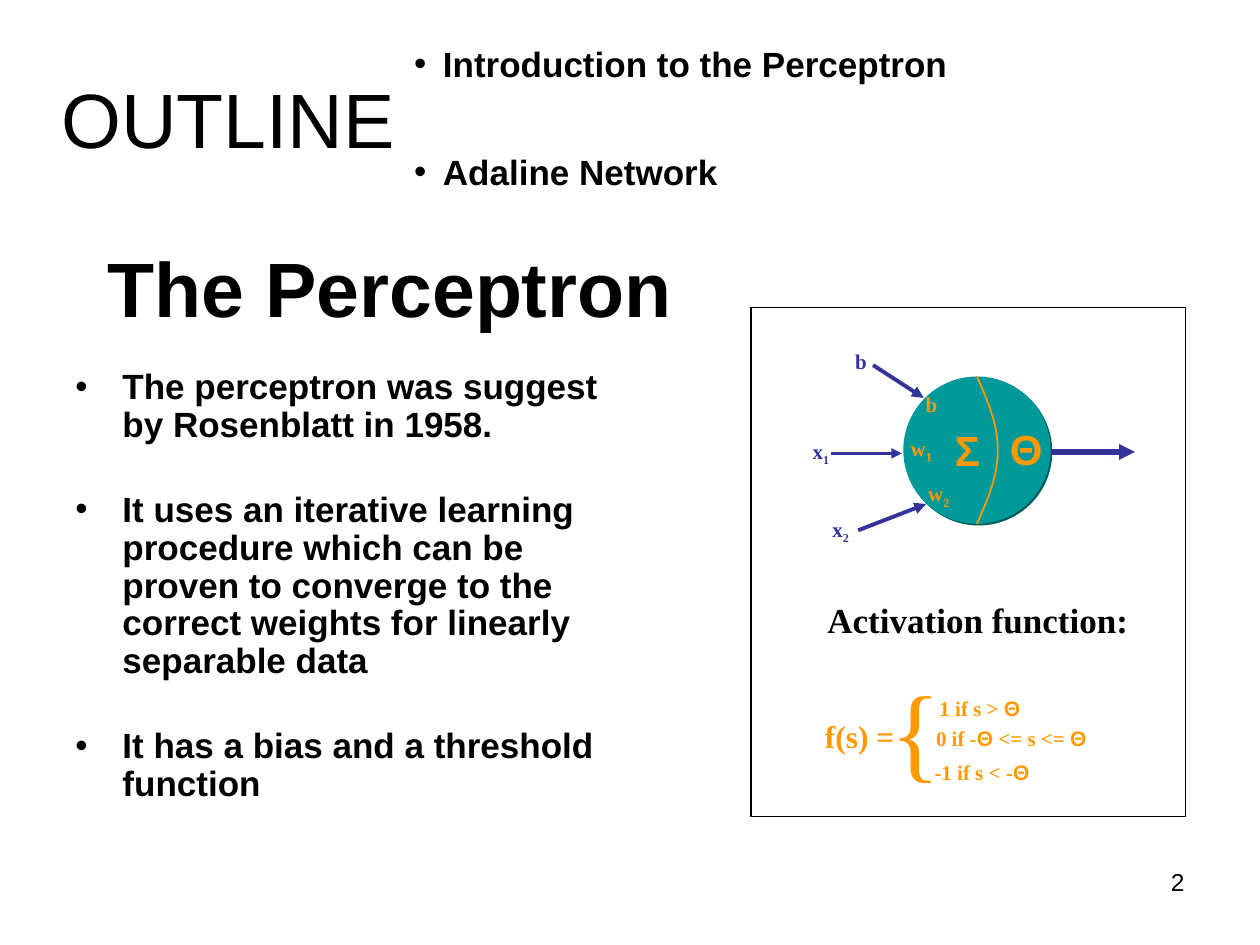
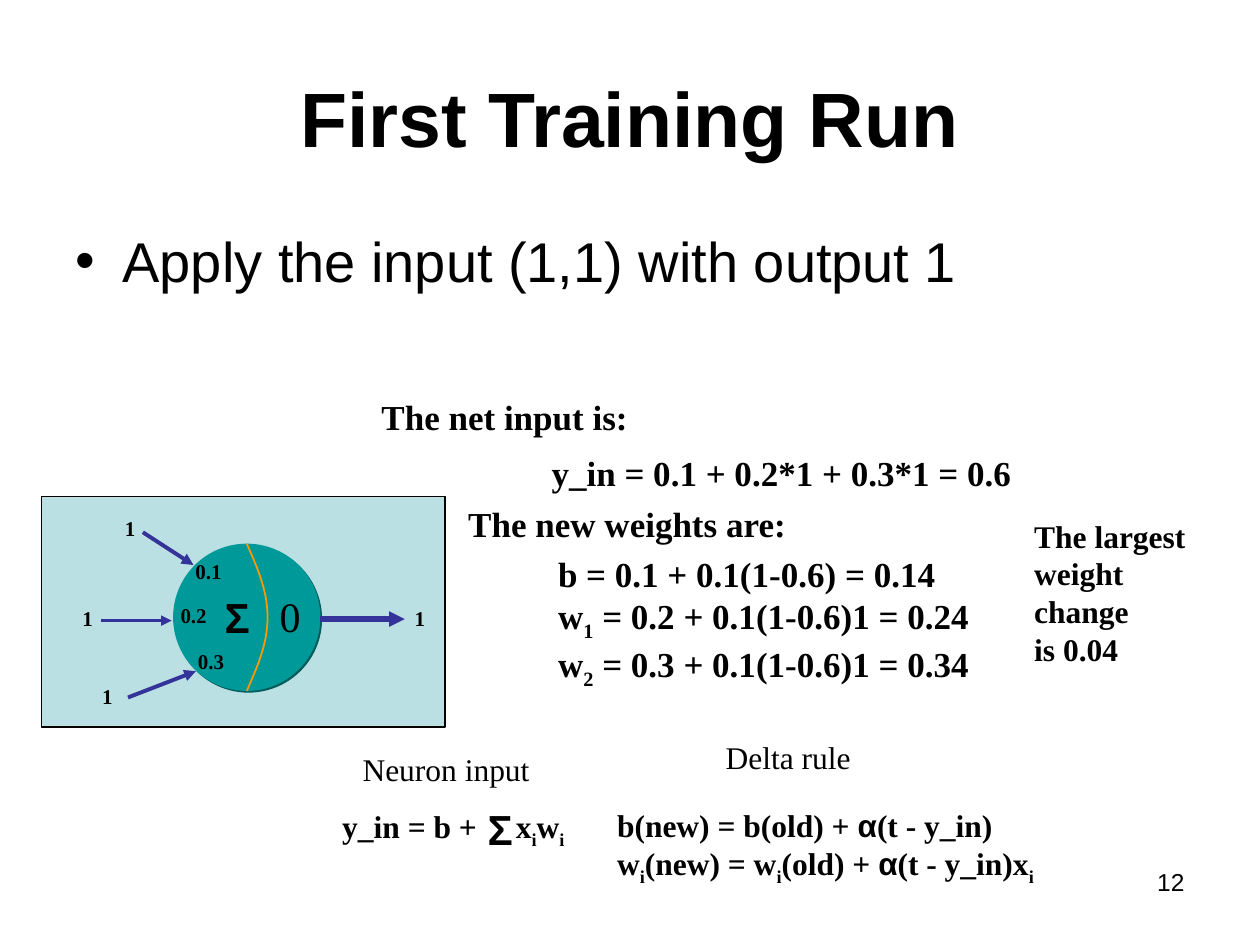
from itertools import groupby
from math import pi, sin

from lxml import etree
from pptx import Presentation
from pptx.dml.color import RGBColor
from pptx.enum.shapes import MSO_CONNECTOR, MSO_SHAPE
from pptx.enum.text import MSO_ANCHOR, MSO_AUTO_SIZE, PP_ALIGN
from pptx.oxml.ns import qn
from pptx.util import Cm, Pt

STRAIGHT = MSO_CONNECTOR.STRAIGHT
RECT, OVAL = MSO_SHAPE.RECTANGLE, MSO_SHAPE.OVAL
LEFT, CENTER, RIGHT = PP_ALIGN.LEFT, PP_ALIGN.CENTER, PP_ALIGN.RIGHT
TOP, MIDDLE = MSO_ANCHOR.TOP, MSO_ANCHOR.MIDDLE
NO_FIT = MSO_AUTO_SIZE.NONE

SANS, SERIF = "Arial", "Times New Roman"
GREEK = "ΘΣα"
BLACK, WHITE, PALE = "000000", "FFFFFF", "BBE0E3"
TEAL, DEEP_TEAL, ORANGE, NAVY = "009999", "005B5B", "FF9900", "333399"
DIAMETER = 2.97
BULGE = 0.42

# Text between two ~ signs is subscript.
OUTLINE = ["Introduction to the Perceptron", "Adaline Network"]
PERCEPTRON = [
    "The perceptron was suggest by Rosenblatt in 1958.",
    "It uses an iterative learning procedure which can be proven to converge "
    "to the correct weights for linearly separable data",
    "It has a bias and a threshold function",
]
ACTIVATION = [
    ("Activation function:", (16.43, 11.94, 6.8, 1.12), dict(size=20)),
    ("f(s) =", (16.38, 14.32, 2.1, 1.27), dict(size=18, color=ORANGE)),
    ("1 if s > Θ", (18.69, 13.89, 2.4, 0.76), dict(size=12, color=ORANGE)),
    ("0 if -Θ <= s <= Θ", (18.62, 14.5, 4, 0.76), dict(size=12, color=ORANGE)),
    ("-1 if s < -Θ", (18.59, 15.19, 2.7, 0.76), dict(size=12, color=ORANGE)),
    ("{", (17.7, 13.28, 1.7, 2.79), dict(size=60, color=ORANGE, bold=False)),
]
TRAINING = [
    ("The net input is:", (7.44, 7.85, 5.6, 1.12), dict(size=20)),
    ("y_in = 0.1 + 0.2*1 + 0.3*1 = 0.6", (10.87, 8.97, 9.9, 1.12), dict(size=20)),
    ("The new weights are:", (9.19, 10.01, 7.1, 1.12), dict(size=20)),
    (["b = 0.1 + 0.1(1-0.6) = 0.14",
      "w~1~ = 0.2 + 0.1(1-0.6)1 = 0.24",
      "w~2~ = 0.3 + 0.1(1-0.6)1 = 0.34"], (11, 11.02, 9, 3.02), dict(size=20)),
    (["The largest weight change", "is 0.04"], (20.6, 10.29, 4.04, 3.3), dict(size=18)),
    ("Neuron input", (7.06, 14.99, 4, 1.02), dict(size=18, bold=False)),
    ("y_in = b +", (6.65, 16.15, 3.4, 1.12), dict(size=18)),
    ("Σ", (9.58, 16.08, 1.1, 1.27), dict(size=24)),
    ("x~i~w~i~", (10.15, 16.15, 1.7, 1.12), dict(size=18)),
    ("Delta rule", (14.38, 14.76, 3.2, 1.02), dict(size=18, bold=False)),
    (["b(new) = b(old) + α(t - y_in)",
      "w~i~(new) = w~i~(old) + α(t - y_in)x~i~"], (12.19, 16.13, 9.1, 1.88), dict(size=18)),
]

ARROWS = [
    ((2.97, 1.52), (4.67, 1.52), 3),
    ((-0.61, -0.23), (0.41, 0.43), 2.25),
    ((-0.91, 3.1), (0.46, 2.57), 2.25),
    ((-1.45, 1.55), (-0.03, 1.55), 1.5),
]
INPUT_SPOTS = [(-1.22, -0.69), (-2.08, 1.12), (-1.68, 2.69)]
WEIGHT_SPOTS = [(0.2, 0.18), (-0.1, 1.07), (0.25, 1.98)]
SUM_SPOT, THRESHOLD_SPOT, OUTPUT_SPOT = (0.79, 0.84), (1.9, 0.82), (4.62, 1.12)


def rgb(color):
    return RGBColor.from_string(color)


def write(sp, text, size=18, color=BLACK, bold=True, font=SERIF, align=LEFT,
          anchor=TOP, bullet=None, gap=0, spacing=None):
    tf = sp.text_frame
    tf.word_wrap = True
    tf.auto_size = NO_FIT
    tf.vertical_anchor = anchor
    for i, line in enumerate([text] if isinstance(text, str) else text):
        p = tf.add_paragraph() if i else tf.paragraphs[0]
        if bullet:
            pPr = p._p.get_or_add_pPr()
            pPr.set("marL", str(Cm(bullet)))
            pPr.set("indent", str(-Cm(bullet)))
            etree.SubElement(pPr, qn("a:buFont"), typeface=SANS)
            etree.SubElement(pPr, qn("a:buChar"), char="•")
        p.alignment = align
        p.space_before = Pt(gap if i else 0)
        if spacing:
            p.line_spacing = spacing
        for j, part in enumerate(line.split("~")):
            for greek, chars in groupby(part, lambda ch: ch in GREEK):
                r = p.add_run()
                r.text = "".join(chars)
                r.font.name = SANS if greek else font
                r.font.size = Pt(size)
                r.font.bold = bold
                r.font.color.rgb = rgb(color)
                if j % 2:
                    r._r.get_or_add_rPr().set("baseline", "-25000")


def add_text(s, text, box, **fmt):
    write(s.shapes.add_textbox(*map(Cm, box)), text, **fmt)


def add_shape(s, kind, box, fill, line=None):
    sp = s.shapes.add_shape(kind, *map(Cm, box))
    sp.shadow.inherit = False
    sp.fill.solid()
    sp.fill.fore_color.rgb = rgb(fill)
    if line:
        sp.line.color.rgb = rgb(line)
        sp.line.width = Pt(0.75)
    else:
        sp.line.fill.background()
    return sp


def add_arrow(s, start, end, width):
    cn = s.shapes.add_connector(STRAIGHT, *map(Cm, start + end))
    cn.line.color.rgb = rgb(NAVY)
    cn.line.width = Pt(width)
    etree.SubElement(cn.line._get_or_add_ln(), qn("a:tailEnd"), type="triangle")
    etree.SubElement(cn._element.spPr, qn("a:effectLst"))


def add_neuron(s, x, y, inputs, weights, threshold, input_color, inner_color,
               threshold_bold=True, output=None):
    def at(spot):
        return x + spot[0], y + spot[1]

    body = add_shape(s, OVAL, (x, y, DIAMETER, DIAMETER), TEAL)
    effects = body._element.spPr.find(qn("a:effectLst"))
    shadow = etree.SubElement(effects, qn("a:outerShdw"), dist=str(Pt(1.4)),
                              dir="2700000", algn="ctr", rotWithShape="0")
    etree.SubElement(shadow, qn("a:srgbClr"), val=DEEP_TEAL)

    steps = 32
    points = [(Cm(x + DIAMETER / 2 + BULGE * sin(pi * i / steps)),
               Cm(y + DIAMETER * i / steps)) for i in range(steps + 1)]
    builder = s.shapes.build_freeform(*points[0])
    builder.add_line_segments(points[1:], close=False)
    curve = builder.convert_to_shape()
    curve.shadow.inherit = False
    curve.fill.background()
    curve.line.color.rgb = rgb(ORANGE)
    curve.line.width = Pt(1)

    for start, end, width in ARROWS:
        add_arrow(s, at(start), at(end), width)
    labels = [(text, spot, input_color) for text, spot in zip(inputs, INPUT_SPOTS)]
    labels += [(text, spot, inner_color) for text, spot in zip(weights, WEIGHT_SPOTS)]
    if output:
        labels.append((output, OUTPUT_SPOT, input_color))
    for text, spot, color in labels:
        add_text(s, text, (*at(spot), 1.2, 0.8), size=12, color=color)
    add_text(s, "Σ", (*at(SUM_SPOT), 1.2, 1.27), size=24, color=inner_color)
    add_text(s, threshold, (*at(THRESHOLD_SPOT), 1.25, 1.27), size=24,
             color=inner_color, bold=threshold_bold)


def add_slide(prs, title, box, number):
    s = prs.slides.add_slide(prs.slide_layouts[5])
    sp = s.shapes.title
    sp.left, sp.top, sp.width, sp.height = map(Cm, box)
    write(sp, title, size=44, font=SANS, align=CENTER, anchor=MIDDLE)
    add_text(s, number, (18.21, 17.35, 5.92, 1.32), size=14, font=SANS,
             bold=False, align=RIGHT)
    return s


def main():
    prs = Presentation()
    prs.slide_width, prs.slide_height = Cm(25.4), Cm(19.05)

    s = add_slide(prs, "The Perceptron", (1.27, 4.19, 13.18, 3.18), "2")
    add_text(s, "OUTLINE", (0.99, 1.32, 7.4, 2.13), size=44, font=SANS, bold=False)
    add_text(s, OUTLINE, (8.1, 0.74, 16.46, 3.25), size=20, font=SANS,
             bullet=0.58, gap=37.5)
    add_text(s, PERCEPTRON, (1.27, 7.32, 11.48, 9.7), size=20, font=SANS,
             bullet=0.95, gap=27, spacing=0.9)
    add_shape(s, RECT, (15.14, 6.2, 8.76, 10.26), WHITE, BLACK)
    add_neuron(s, 18.21, 7.59, ["b", "x~1~", "x~2~"], ["b", "w~1~", "w~2~"],
               "Θ", NAVY, ORANGE)
    for text, box, fmt in ACTIVATION:
        add_text(s, text, box, **fmt)

    s = add_slide(prs, "First Training Run", (1.27, 0.76, 22.86, 3.18), "12")
    add_text(s, ["Apply the input (1,1) with output 1"], (1.27, 4.45, 22.86, 1.78),
             size=32, font=SANS, bold=False, bullet=0.95)
    add_shape(s, RECT, (0.84, 10.01, 8.13, 4.65), PALE, BLACK)
    add_neuron(s, 3.49, 10.96, ["1", "1", "1"], ["0.1", "0.2", "0.3"], "0",
               BLACK, BLACK, threshold_bold=False, output="1")
    for text, box, fmt in TRAINING:
        add_text(s, text, box, **fmt)

    prs.save("out.pptx")


if __name__ == "__main__":
    main()
